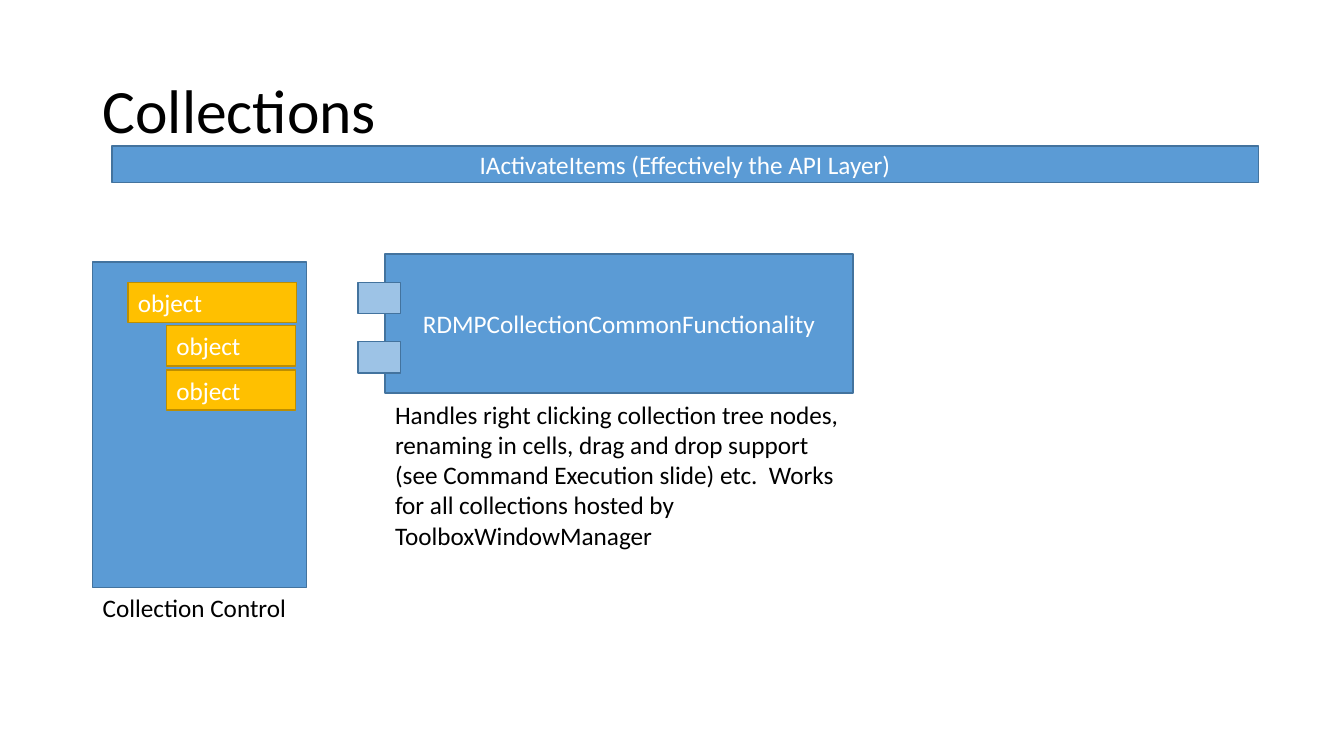
from pptx import Presentation
from pptx.dml.color import RGBColor
from pptx.enum.shapes import MSO_SHAPE
from pptx.enum.text import MSO_ANCHOR, PP_ALIGN
from pptx.util import Inches, Pt

BLUE, LIGHT_BLUE, DARK_BLUE = "5B9BD5", "9DC3E6", "43739E"
GOLD, DARK_GOLD = "FFC000", "BD8E00"
BLACK, WHITE = "000000", "FFFFFF"


def write(shape, text, color, size=18, align=PP_ALIGN.LEFT, anchor=MSO_ANCHOR.TOP):
    frame = shape.text_frame
    frame.word_wrap = True
    frame.vertical_anchor = anchor
    paragraph = frame.paragraphs[0]
    paragraph.text = text
    paragraph.alignment = align
    paragraph.font.name = "Calibri"
    paragraph.font.size = Pt(size)
    paragraph.font.color.rgb = RGBColor.from_string(color)
    return paragraph


def add_box(left, top, width, height, fill, line):
    box = slide.shapes.add_shape(
        MSO_SHAPE.RECTANGLE, Inches(left), Inches(top), Inches(width), Inches(height))
    box.shadow.inherit = False
    box.fill.solid()
    box.fill.fore_color.rgb = RGBColor.from_string(fill)
    box.line.color.rgb = RGBColor.from_string(line)
    box.line.width = Pt(1)
    return box


prs = Presentation()
prs.slide_width = Inches(13.33)
prs.slide_height = Inches(7.5)
slide = prs.slides.add_slide(prs.slide_layouts[6])

title = slide.shapes.add_textbox(Inches(0.92), Inches(0.4), Inches(11.5), Inches(1.45))
write(title, "Collections", BLACK, size=44, anchor=MSO_ANCHOR.MIDDLE).line_spacing = 0.9

add_box(0.92, 2.6, 2.12, 3.23, BLUE, DARK_BLUE)

api_layer = add_box(1.11, 1.45, 11.37, 0.36, BLUE, DARK_BLUE)
common_functionality = add_box(3.82, 2.52, 4.64, 1.38, BLUE, DARK_BLUE)
for component, label in [
    (api_layer, "IActivateItems (Effectively the API Layer)"),
    (common_functionality, "RDMPCollectionCommonFunctionality"),
]:
    write(component, label, WHITE, align=PP_ALIGN.CENTER, anchor=MSO_ANCHOR.MIDDLE)

for tab_top in (2.8, 3.39):
    add_box(3.55, tab_top, 0.42, 0.31, LIGHT_BLUE, DARK_BLUE)

for left, top, width, height, caption in [
    (0.92, 5.83, 2.21, 0.4, "Collection Control"),
    (3.82, 3.91, 4.64, 1.62,
     "Handles right clicking collection tree nodes, renaming in cells, "
     "drag and drop support (see Command Execution slide) etc.  Works "
     "for all collections hosted by ToolboxWindowManager"),
]:
    description = slide.shapes.add_textbox(
        Inches(left), Inches(top), Inches(width), Inches(height))
    write(description, caption, BLACK)

for left, top, width in [(1.27, 2.8, 1.67), (1.65, 3.23, 1.28), (1.65, 3.67, 1.28)]:
    tree_node = add_box(left, top, width, 0.4, GOLD, DARK_GOLD)
    write(tree_node, "object", WHITE)

prs.save("out.pptx")
